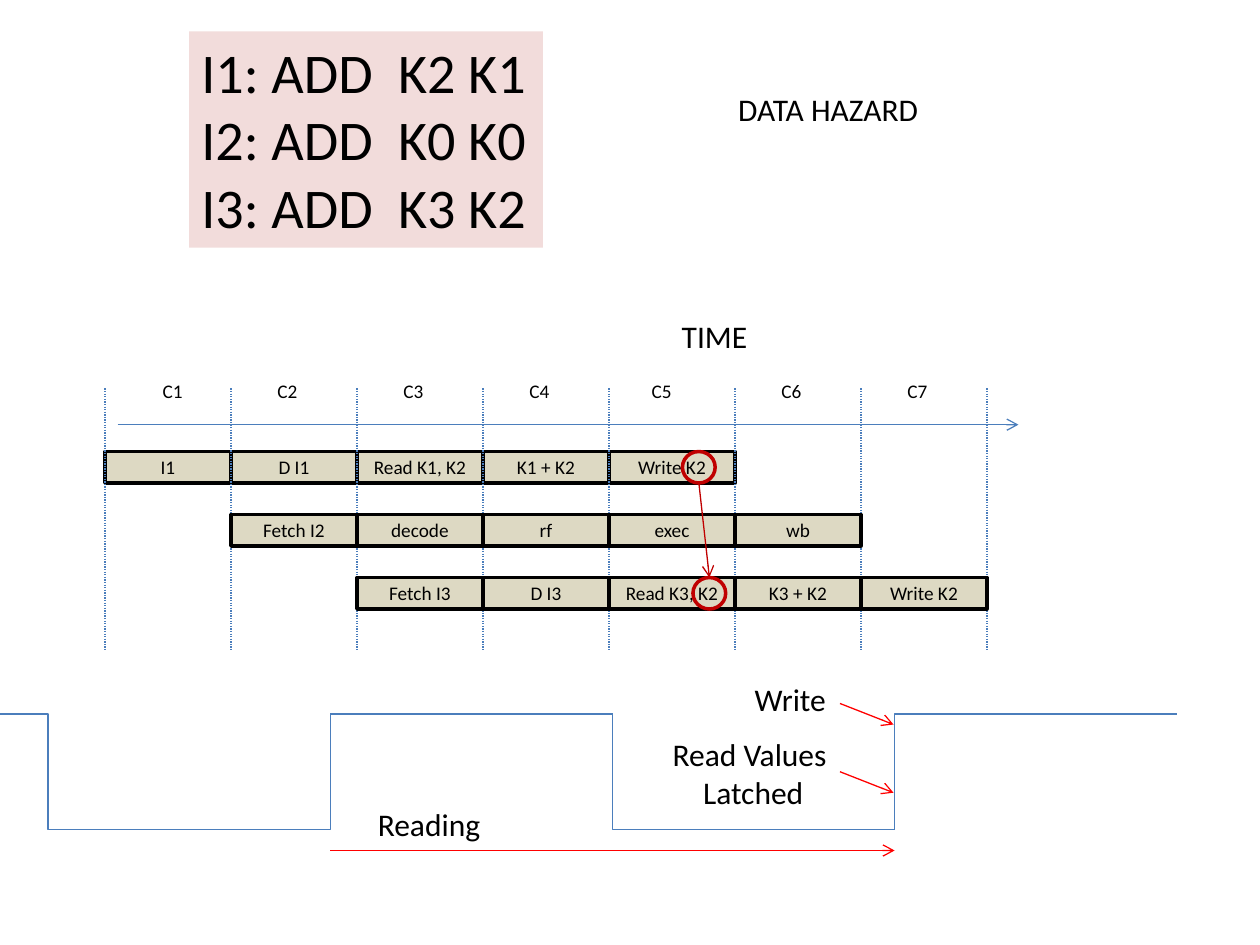
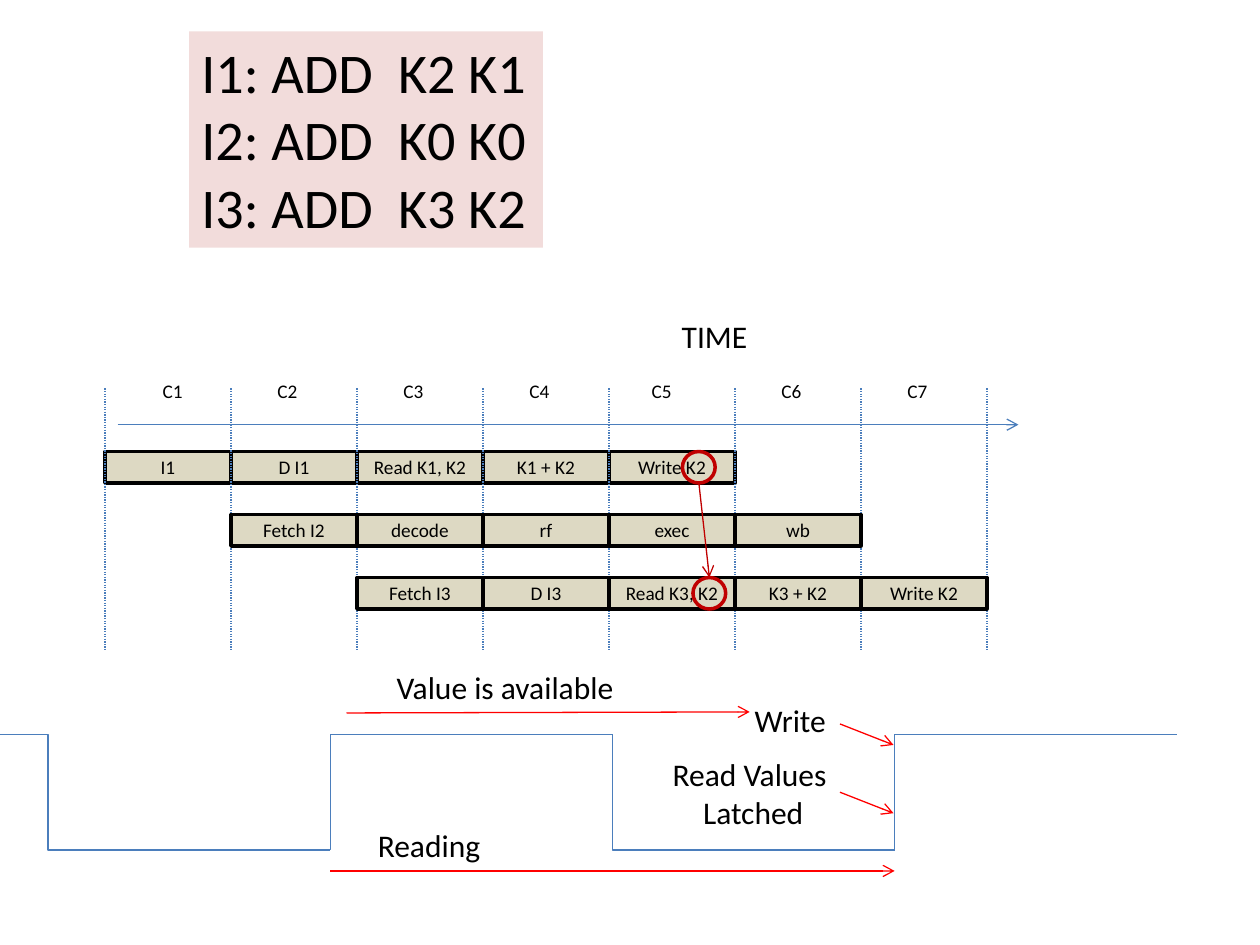
from dataclasses import dataclass

from pptx import Presentation
from pptx.dml.color import RGBColor
from pptx.enum.dml import MSO_LINE
from pptx.enum.shapes import MSO_CONNECTOR, MSO_SHAPE
from pptx.enum.text import MSO_ANCHOR, MSO_AUTO_SIZE, PP_ALIGN
from pptx.oxml.ns import qn
from pptx.oxml.xmlchemy import OxmlElement
from pptx.util import Inches, Pt


@dataclass(frozen=True)
class Theme:
    font: str = "Calibri"
    ink: str = "000000"
    stage: str = "DDD9C3"
    code: str = "F2DCDB"
    rule: str = "4B7EBC"
    hazard: str = "C00000"
    signal: str = "FF0000"
    small: int = 11
    body: int = 18
    large: int = 32
    thin: float = 0.75
    thick: float = 2


COLS, ROWS = 120, 90
TITLE_ONLY, BLANK = 5, 6
PIPE_X, CYCLE = 10, 12
STAGE_Y, STAGE_GAP, STAGE_H = 43, 6, 3
RING_W = 3.12
HALF_PERIOD = 26.88

INSTRUCTIONS = ["I1: ADD  K2 K1", "I2: ADD  K0 K0", "I3: ADD  K3 K2"]
PIPELINE = [
    ["I1", "D I1", "Read K1, K2", "K1 + K2", "Write K2"],
    ["Fetch I2", "decode", "rf", "exec", "wb"],
    ["Fetch I3", "D I3", "Read K3, K2", "K3 + K2", "Write K2"],
]
LABEL_OFFSETS = [4.3, 3.24, 3.24, 3.24, 2.88, 3.24, 3.24]


class Deck:
    def __init__(self, prs, theme):
        self.prs, self.theme, self.s = prs, theme, None

    def new_slide(self, layout):
        self.s = self.prs.slides.add_slide(self.prs.slide_layouts[layout])

    def x(self, cols):
        return round(self.prs.slide_width * cols / COLS)

    def y(self, rows):
        return round(self.prs.slide_height * rows / ROWS)

    def box(self, x, y, w, h):
        return self.x(x), self.y(y), self.x(w), self.y(h)

    def add_lines(self, p, lines, size, align):
        p.alignment = align
        for i, line in enumerate(lines):
            if i:
                p.add_line_break()
            r = p.add_run()
            r.text = line
            r.font.name, r.font.size = self.theme.font, Pt(size)
            r.font.bold = False
            r.font.color.rgb = RGBColor.from_string(self.theme.ink)

    def fit(self, sp, paragraphs, size, align):
        tf = sp.text_frame
        tf.word_wrap = False
        tf.auto_size = MSO_AUTO_SIZE.SHAPE_TO_FIT_TEXT
        tf.vertical_anchor = MSO_ANCHOR.TOP
        for i, lines in enumerate(paragraphs):
            p = tf.add_paragraph() if i else tf.paragraphs[0]
            self.add_lines(p, lines, size, align)

    def title(self, text, x, y, w, h):
        sp = self.s.shapes.title
        sp.left, sp.top, sp.width, sp.height = self.box(x, y, w, h)
        self.fit(sp, [[text]], self.theme.body, PP_ALIGN.LEFT)

    def text(self, paragraphs, x, y, w, h, size=None, align=PP_ALIGN.LEFT, fill=None):
        sp = self.s.shapes.add_textbox(*self.box(x, y, w, h))
        if fill:
            sp.fill.solid()
            sp.fill.fore_color.rgb = RGBColor.from_string(fill)
        self.fit(sp, paragraphs, size or self.theme.body, align)

    def shape(self, kind, x, y, w, h, line):
        sp = self.s.shapes.add_shape(kind, *self.box(x, y, w, h))
        sp.shadow.inherit = False
        sp.line.color.rgb = RGBColor.from_string(line)
        sp.line.width = Pt(self.theme.thick)
        return sp

    def stage(self, label, cycle, row):
        sp = self.shape(MSO_SHAPE.RECTANGLE, PIPE_X + cycle * CYCLE,
                        STAGE_Y + row * STAGE_GAP, CYCLE, STAGE_H, self.theme.ink)
        sp.fill.solid()
        sp.fill.fore_color.rgb = RGBColor.from_string(self.theme.stage)
        tf = sp.text_frame
        tf.vertical_anchor = MSO_ANCHOR.MIDDLE
        self.add_lines(tf.paragraphs[0], [label], self.theme.small, PP_ALIGN.CENTER)

    def ring(self, x, y):
        sp = self.shape(MSO_SHAPE.OVAL, x, y, RING_W, STAGE_H, self.theme.hazard)
        sp.fill.background()

    def line(self, x1, y1, x2, y2, color, kind=MSO_CONNECTOR.STRAIGHT, dash=None, arrow=False):
        c = self.s.shapes.add_connector(kind, self.x(x1), self.y(y1), self.x(x2), self.y(y2))
        c.line.color.rgb = RGBColor.from_string(color)
        c.line.width = Pt(self.theme.thin)
        if dash:
            c.line.dash_style = dash
        spPr = c._element.spPr
        if arrow:
            tail = OxmlElement("a:tailEnd")
            tail.set("type", "arrow")
            spPr.find(qn("a:ln")).append(tail)
        spPr.append(OxmlElement("a:effectLst"))

    def arrow(self, x1, y1, x2, y2, color):
        self.line(x1, y1, x2, y2, color, arrow=True)

    def pipeline(self):
        t = self.theme
        self.arrow(11.2, 40.45, 97, 40.45, t.rule)
        self.text([["TIME"]], 63.75, 29.65, 8.75, 4.8)
        for row, labels in enumerate(PIPELINE):
            for i, label in enumerate(labels):
                self.stage(label, row + i, row)
            if row == 0:
                for edge in range(len(LABEL_OFFSETS) + 1):
                    x = PIPE_X + edge * CYCLE
                    self.line(x, 37, x, 62, t.rule, dash=MSO_LINE.ROUND_DOT)
        for i, offset in enumerate(LABEL_OFFSETS):
            self.text([[f"C{i + 1}"]], PIPE_X + i * CYCLE + offset, 35.55, 4.3, 3.45, t.small)
        write_x, read_x = 65, 66
        read_y = STAGE_Y + 2 * STAGE_GAP
        self.ring(write_x, STAGE_Y)
        self.ring(read_x, read_y)
        self.arrow(write_x + RING_W / 2, STAGE_Y + STAGE_H, read_x + RING_W / 2, read_y, t.hazard)
        self.text([INSTRUCTIONS], 18, 3, 33.7, 20.6, t.large, fill=t.code)

    def clock(self, top):
        t = self.theme
        low = top + 11
        for i in range(4):
            x = -22.3 + i * HALF_PERIOD
            ends = (low, top) if i % 2 else (top, low)
            self.line(x, ends[0], x + 2 * HALF_PERIOD, ends[1], t.rule, MSO_CONNECTOR.ELBOW)
        self.arrow(31.45, low + 2, 85.2, low + 2, t.signal)
        self.text([["Reading"]], 34.8, top + 8.1, 12.25, 4.8)
        for y in (top - 1, top + 5.5):
            self.arrow(80, y, 85.1, y + 2, t.signal)
        self.text([["Write"]], 70.7, top - 3.8, 9.25, 4.8)
        self.text([["Read Values"], [" Latched"]], 62.75, top + 1.4, 17.3, 8.5,
                  align=PP_ALIGN.CENTER)


def main():
    prs = Presentation()
    prs.slide_width, prs.slide_height = Inches(10), Inches(7.5)
    deck = Deck(prs, Theme())

    deck.new_slide(TITLE_ONLY)
    deck.title("DATA HAZARD", 69.1, 8, 19.7, 4.8)
    deck.pipeline()
    deck.clock(68)

    deck.new_slide(BLANK)
    deck.pipeline()
    deck.clock(69.95)
    deck.arrow(33, 67.9, 71.4, 67.8, deck.theme.signal)
    deck.text([["Value is available"]], 36.6, 63, 23.3, 4.8)

    prs.save("out.pptx")


if __name__ == "__main__":
    main()
